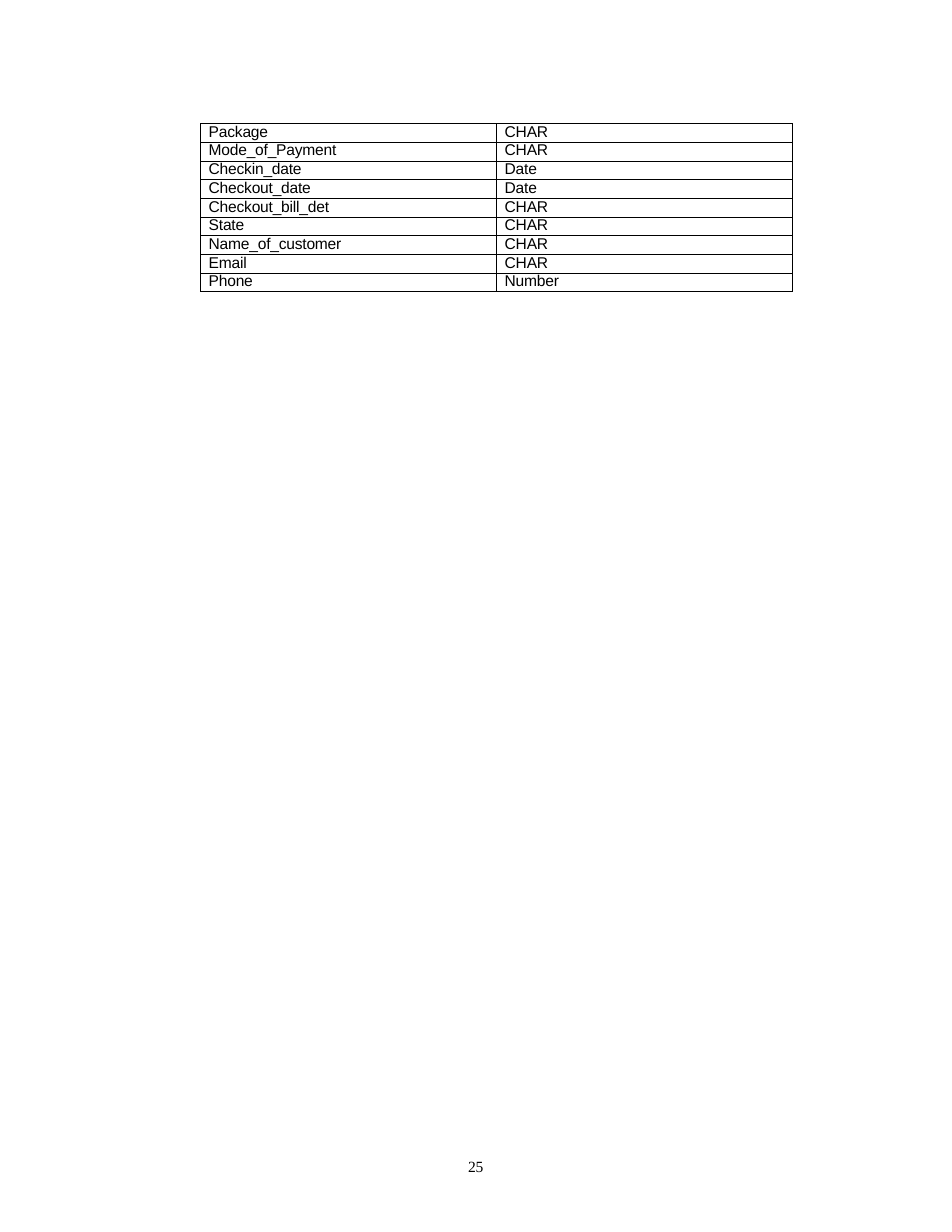
from dataclasses import dataclass

from lxml.etree import SubElement
from pptx import Presentation
from pptx.dml.color import RGBColor as Color
from pptx.oxml.ns import qn
from pptx.util import Pt


@dataclass(frozen=True)
class Theme:
    """Colours, fonts and sizes of the page."""
    ink: str = "000000"
    paper: str = "FFFFFF"
    table_font: str = "Arial"
    number_font: str = "Times New Roman"
    text_size: float = 10
    tracking: float = -0.1
    border: float = 0.5


THEME = Theme()
FIELDS = [
    ("Package", "CHAR"),
    ("Mode_of_Payment", "CHAR"),
    ("Checkin_date", "Date"),
    ("Checkout_date", "Date"),
    ("Checkout_bill_det", "CHAR"),
    ("State", "CHAR"),
    ("Name_of_customer", "CHAR"),
    ("Email", "CHAR"),
    ("Phone", "Number"),
]


def set_text(frame, text, *, font, size, color, indent, leading, tracking):
    """Put one formatted paragraph into a text frame."""
    paragraph = frame.paragraphs[0]
    paragraph.line_spacing = Pt(leading)
    paragraph._p.get_or_add_pPr().set("marL", str(Pt(indent)))
    run = paragraph.add_run()
    run.text = text
    run.font.name = font
    run.font.size = Pt(size)
    run.font.color.rgb = Color.from_string(color)
    run._r.get_or_add_rPr().set("spc", str(round(tracking * 100)))


def clear_margins(box):
    """Remove the inner margins of a cell or text frame."""
    box.margin_left = box.margin_right = box.margin_top = box.margin_bottom = 0


def draw_borders(cell, color, width):
    """Draw a solid line on all four sides of a cell."""
    properties = cell._tc.get_or_add_tcPr()
    for position, side in enumerate(("lnL", "lnR", "lnT", "lnB")):
        line = properties.makeelement(qn(f"a:{side}"), {"w": str(Pt(width))})
        fill = SubElement(line, qn("a:solidFill"))
        SubElement(fill, qn("a:srgbClr"), val=color)
        properties.insert(position, line)


class Page:
    """Holds the theme and the current slide."""

    def __init__(self, slide, theme):
        """Keep the slide and theme, and paint the background."""
        self.slide, self.theme = slide, theme
        background = slide.background.fill
        background.solid()
        background.fore_color.rgb = Color.from_string(theme.paper)

    def add_text(self, frame, text, **style):
        """Set text in the common size, colour and tracking."""
        theme = self.theme
        set_text(frame, text, size=theme.text_size, color=theme.ink,
                 tracking=theme.tracking, **style)

    def page_number(self, text, left, top, width, height):
        """Add the page number."""
        shape = self.slide.shapes.add_textbox(
            Pt(left), Pt(top), Pt(width), Pt(height))
        frame = shape.text_frame
        frame.word_wrap = True
        clear_margins(frame)
        self.add_text(frame, text, font=self.theme.number_font,
                      indent=3, leading=10.6)

    def table(self, rows, left, top, column_width, row_height):
        """Add a plain ruled table with equal columns and rows."""
        columns = len(rows[0])
        shape = self.slide.shapes.add_table(
            len(rows), columns, Pt(left), Pt(top),
            Pt(column_width * columns), Pt(row_height * len(rows)))
        table = shape.table
        table.first_row = table.horz_banding = False
        for column in table.columns:
            column.width = Pt(column_width)
        for row, texts in zip(table.rows, rows):
            row.height = Pt(row_height)
            for cell, text in zip(row.cells, texts):
                clear_margins(cell)
                cell.fill.background()
                draw_borders(cell, self.theme.ink, self.theme.border)
                self.add_text(cell.text_frame, text,
                              font=self.theme.table_font,
                              indent=5.3, leading=11)


def main():
    """Build the page and save it."""
    presentation = Presentation()
    presentation.slide_width, presentation.slide_height = Pt(612), Pt(792)
    slide = presentation.slides.add_slide(presentation.slide_layouts[6])
    page = Page(slide, THEME)
    page.page_number("25", left=298, top=745, width=16, height=12)
    page.table(FIELDS, left=128.9, top=79.4, column_width=190.3,
               row_height=12.03)
    presentation.save("out.pptx")


main()
